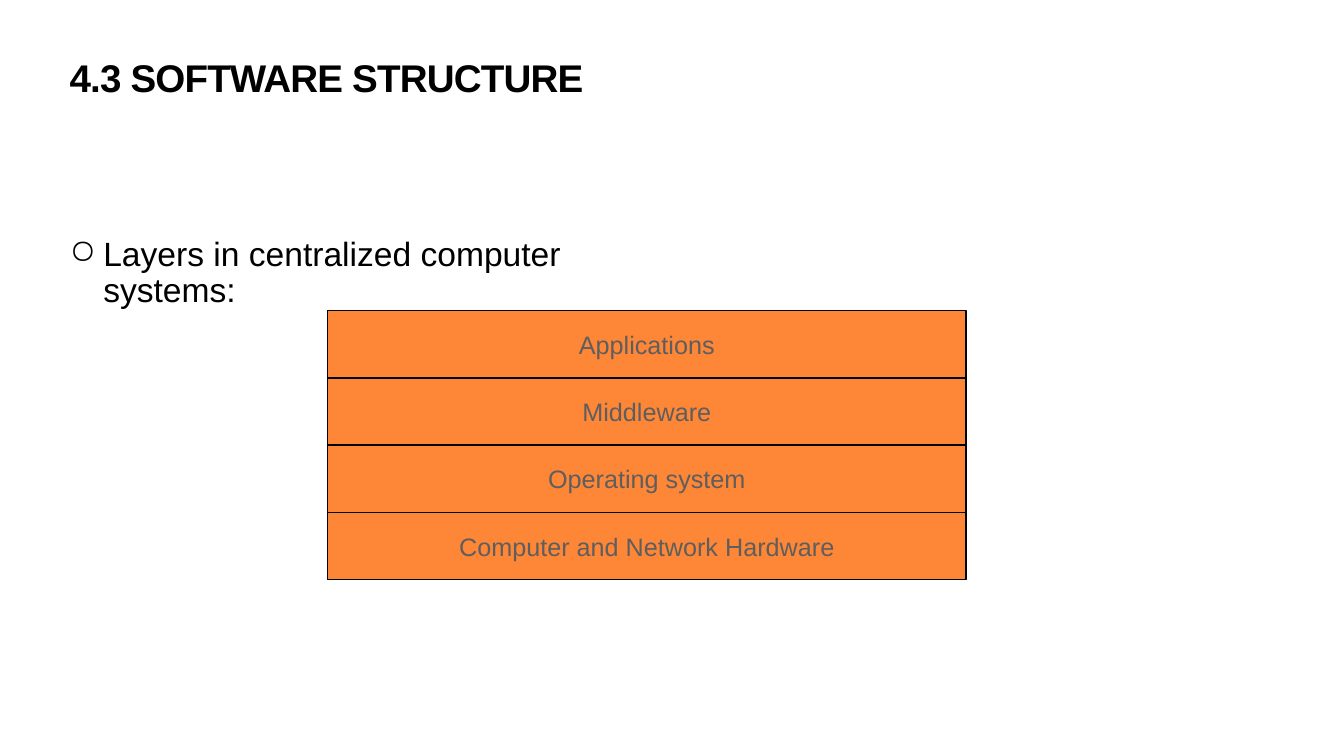
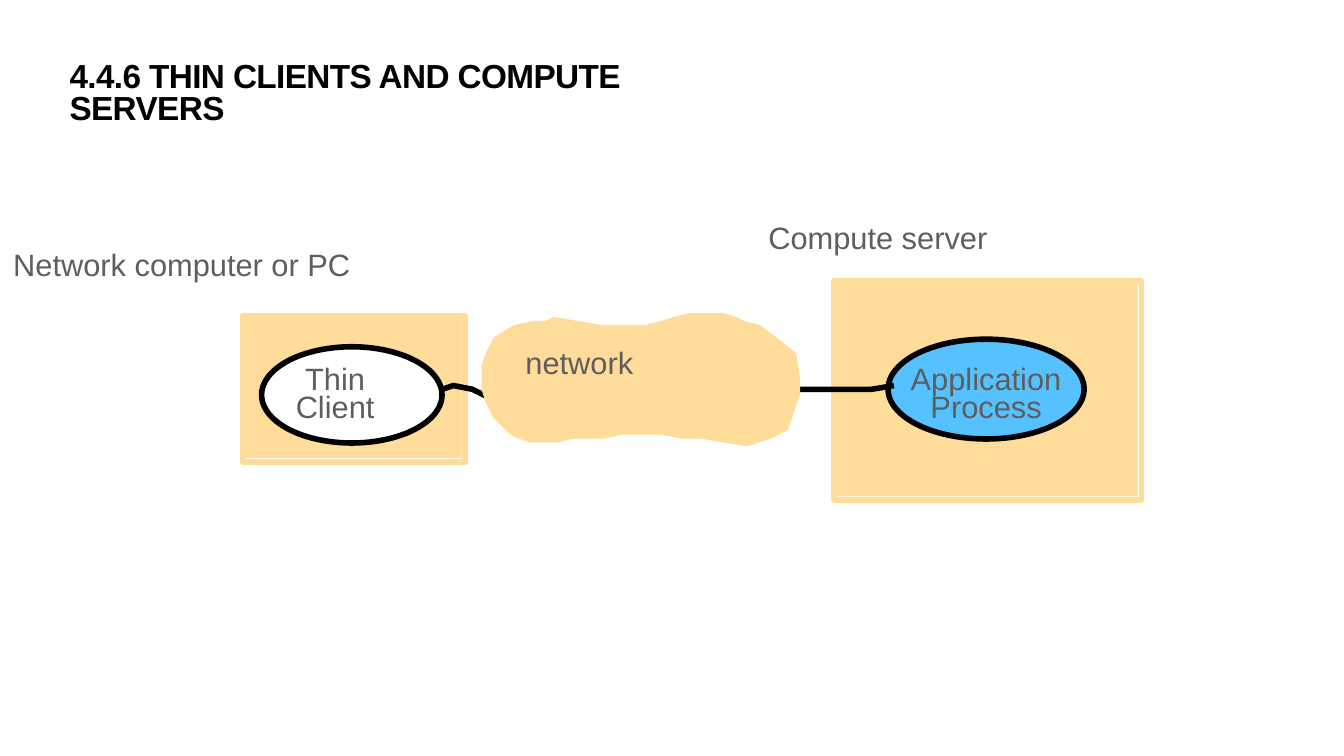
import pptx
import pptx.dml.color
import pptx.enum.shapes
import pptx.enum.text
import pptx.oxml.ns
import pptx.util
from lxml import etree

BLACK = pptx.dml.color.RGBColor(0x00, 0x00, 0x00)
WHITE = pptx.dml.color.RGBColor(0xFF, 0xFF, 0xFF)
GREY = pptx.dml.color.RGBColor(0x5E, 0x5E, 0x5E)
ORANGE = pptx.dml.color.RGBColor(0xFE, 0x86, 0x37)
SAND = pptx.dml.color.RGBColor(0xFF, 0xDC, 0x99)
BLUE = pptx.dml.color.RGBColor(0x56, 0xC1, 0xFF)

FONT = "Arial"
CELL = pptx.util.Inches(1) / 3
COLUMNS, ROWS = 80, 45
INSET = pptx.util.Inches(0.06)
HEAVY = 8
RECTANGLE = pptx.enum.shapes.MSO_SHAPE.RECTANGLE
OVAL = pptx.enum.shapes.MSO_SHAPE.OVAL


def write(page, area, text, size, color=GREY, inset=0, label=True):
    box = page.shapes.add_textbox(*[round(length * CELL) for length in area])
    frame = box.text_frame
    frame.word_wrap = not label
    frame.margin_left = frame.margin_right = inset
    frame.margin_top = frame.margin_bottom = inset
    para = frame.paragraphs[0]
    if label:
        frame.vertical_anchor = pptx.enum.text.MSO_ANCHOR.MIDDLE
        para.alignment = pptx.enum.text.PP_ALIGN.CENTER
    span = para.add_run()
    span.text = text
    span.font.name = FONT
    span.font.size = pptx.util.Pt(size)
    span.font.color.rgb = color
    return para


def paint(shape, fill=None, line=None, weight=HEAVY):
    shape.shadow.inherit = False
    if fill is None:
        shape.fill.background()
    else:
        shape.fill.solid()
        shape.fill.fore_color.rgb = fill
    if line is None:
        shape.line.fill.background()
    else:
        shape.line.color.rgb = line
        shape.line.width = pptx.util.Pt(weight)


deck = pptx.Presentation()
deck.slide_width = round(COLUMNS * CELL)
deck.slide_height = round(ROWS * CELL)

pages = []
for title, size, tracking in [
    ("4.3 SOFTWARE STRUCTURE", 55.1, -120),
    ("4.4.6 THIN CLIENTS AND COMPUTE SERVERS", 47.6, -90),
]:
    page = deck.slides.add_slide(deck.slide_layouts[6])
    para = write(page, (3.96, 3.54, 34.38, 4.71), title, size, BLACK, INSET, label=False)
    para.line_spacing = 0.8
    span = para.runs[0]
    span.font.bold = True
    span.font._element.set("spc", str(tracking))
    pages.append(page)
structure_page, client_page = pages

para = write(structure_page, (3.96, 13.95, 34.38, 27.09),
             "Layers in centralized computer systems:", 48, BLACK, INSET, label=False)
para.line_spacing = 0.9
para.space_before = pptx.util.Pt(45)
properties = para._p.get_or_add_pPr()
indent = pptx.util.Inches(0.67)
properties.set("marL", str(indent))
properties.set("indent", str(-indent))
for tag, key, value in [("a:buSzPct", "val", "100000"), ("a:buChar", "char", "○")]:
    etree.SubElement(properties, pptx.oxml.ns.qn(tag)).set(key, value)

LAYER_HEIGHT = 4
layers = ["Applications", "Middleware", "Operating system", "Computer and Network Hardware"]
for index, layer in enumerate(layers):
    area = (19.5, 18.5 + index * LAYER_HEIGHT, 38, LAYER_HEIGHT)
    bar = structure_page.shapes.add_shape(RECTANGLE, *[round(length * CELL) for length in area])
    paint(bar, ORANGE, BLACK, 2)
    write(structure_page, area, layer, 36, inset=INSET)

for kind, area, fill, line in [
    (RECTANGLE, (14.43, 18.81, 13.05, 8.46), SAND, None),
    (RECTANGLE, (14.43, 18.81, 13.26, 8.7), None, SAND),
    (RECTANGLE, (49.65, 16.74, 18.06, 12.81), SAND, None),
    (RECTANGLE, (49.65, 16.74, 18.3, 13.02), None, SAND),
    (OVAL, (15.57, 20.64, 10.74, 5.73), WHITE, BLACK),
    (OVAL, (52.86, 20.19, 11.67, 5.94), BLUE, BLACK),
]:
    shape = client_page.shapes.add_shape(kind, *[round(length * CELL) for length in area])
    paint(shape, fill, line)

client_link = [(-11, 19), (-8, 18), (-3, 19), (-1, 20), (1, 21)]
server_link = [(106, 18), (100, 19), (76, 19)]
cloud = [
    (2, 8), (3, 6), (8, 3), (13, 2), (16, 2), (18, 1), (24, 2), (30, 3), (42, 3), (46, 2),
    (49, 1), (53, 0), (62, 0), (65, 1), (67, 2), (71, 3), (75, 6), (80, 10), (81, 16),
    (81, 20), (78, 29), (74, 31), (68, 33), (56, 31), (51, 31), (46, 30), (35, 30),
    (31, 31), (23, 31), (19, 32), (12, 32), (9, 31), (7, 30), (3, 26), (1, 22), (0, 19),
    (0, 13), (1, 10),
]
CLOUD_STEP = CELL * 0.23
for points, fill, line in [
    (client_link, None, BLACK),
    (server_link, None, BLACK),
    (cloud, SAND, SAND),
]:
    builder = client_page.shapes.build_freeform(*points[0], scale=CLOUD_STEP)
    builder.add_line_segments(points[1:], close=fill is not None)
    outline = builder.convert_to_shape(round(28.83 * CELL), round(18.81 * CELL))
    paint(outline, fill, line)

for text, left, top, width in [
    ("Thin", 18.15, 21.5, 3.6),
    ("Client", 17.58, 23.2, 4.74),
    ("Application", 54.2, 21.5, 9),
    ("Process", 55.37, 23.2, 6.66),
    ("Network computer or PC", 0.78, 14.7, 20.1),
    ("Compute server", 45.72, 13.1, 13.08),
    ("network", 31.26, 20.55, 6.45),
]:
    write(client_page, (left, top, width, 2), text, 44)

deck.save("out.pptx")
